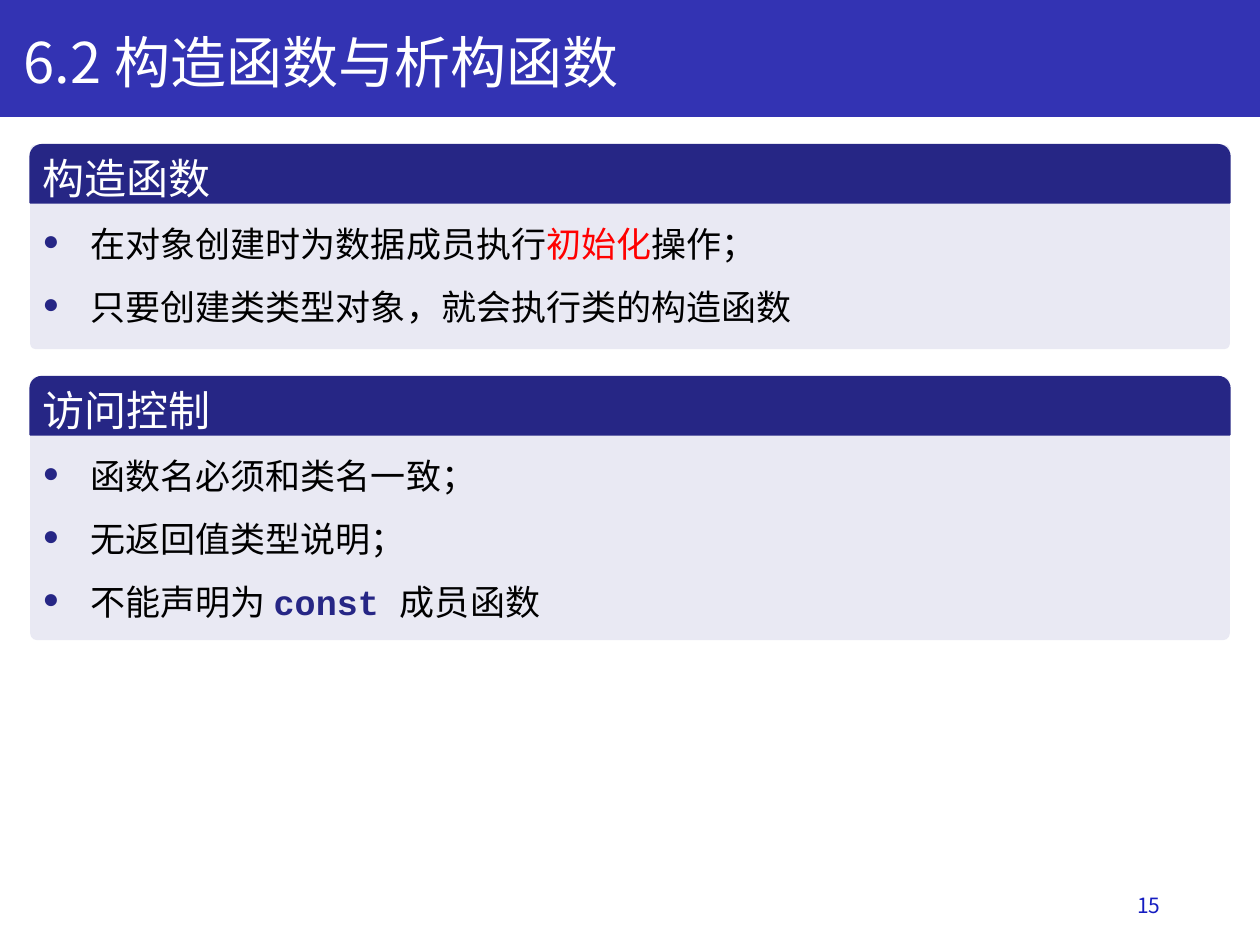
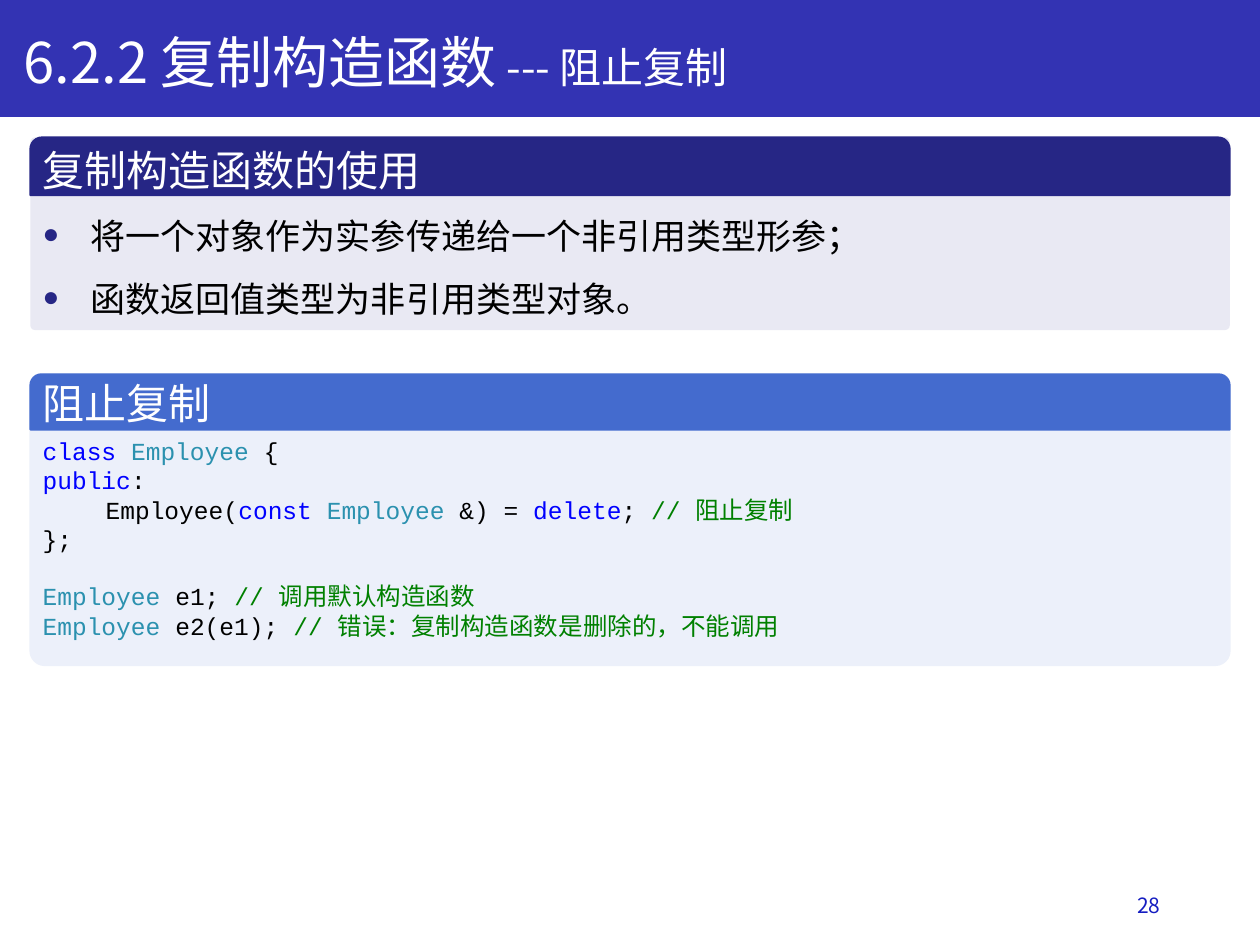
from dataclasses import dataclass
from lxml.etree import SubElement as Sub
from pptx import Presentation
from pptx.dml.color import RGBColor as Rgb
from pptx.enum.shapes import MSO_SHAPE as Kind
from pptx.enum.text import MSO_ANCHOR as Anchor, MSO_AUTO_SIZE as Fit, PP_ALIGN as Align
from pptx.oxml.ns import qn
from pptx.util import Inches, Pt

COLS, ROWS = 100, 75
UNIT = Inches(10) / COLS


@dataclass(frozen=True)
class Theme:
    sans: str = "Noto Sans CJK SC"
    mono: str = "Courier New"
    band: str = "3333B3"
    page: str = "151DC1"
    navy: str = "262685"
    mist: str = "E9E9F3"
    blue: str = "446BCE"
    sky: str = "ECF0FA"
    white: str = "FFFFFF"
    black: str = "000000"
    red: str = "FF0000"
    key: str = "0000FF"
    type: str = "2B91AF"
    note: str = "008000"
    title: int = 32
    head: int = 24
    item: int = 20
    code: int = 14
    foot: int = 12


T = Theme()


@dataclass(frozen=True)
class Box:
    x: float
    y: float
    w: float
    h: float

    def row(self, y, h):
        return Box(self.x, self.y + y, self.w, h)

    def emu(self):
        return [round(n * UNIT) for n in (self.x, self.y, self.w, self.h)]


@dataclass(frozen=True)
class Line:
    runs: list
    inset: float = 0
    gap: int = 0


def tint(text, color, **fmt):
    return text, dict(color=color, **fmt)


def key(text):
    return tint(text, T.key)


def kind(text):
    return tint(text, T.type)


def note(text):
    return tint(text, T.note)


def draw(shapes, form, box, fill, line=None, adj=()):
    shape = shapes.add_shape(form, *box.emu())
    shape.shadow.inherit = False
    shape.fill.solid()
    shape.fill.fore_color.rgb = Rgb.from_string(fill)
    if line:
        shape.line.color.rgb = Rgb.from_string(line)
        shape.line.width = Pt(1)
    else:
        shape.line.fill.background()
    for i, value in enumerate(adj):
        shape.adjustments[i] = value


def style(run, size, color, font=T.sans, bold=False):
    face = run.font
    face.size, face.name, face.bold = Pt(size), font, bold
    face.color.rgb = Rgb.from_string(color)
    Sub(face._element, qn("a:ea")).set("typeface", T.sans)


def mark(para):
    props = para._p.get_or_add_pPr()
    props.set("marL", str(Inches(0.38)))
    props.set("indent", str(-Inches(0.38)))
    hue = Sub(props, qn("a:buClr"))
    Sub(hue, qn("a:srgbClr")).set("val", T.navy)
    Sub(props, qn("a:buSzPct")).set("val", "80000")
    Sub(props, qn("a:buFont")).set("typeface", T.mono)
    Sub(props, qn("a:buChar")).set("char", "●")


def write(shapes, box, lines, align=Align.LEFT, anchor=Anchor.TOP,
          bullet=False, space=None, grow=True, **fmt):
    frame = shapes.add_textbox(*box.emu()).text_frame
    frame.word_wrap = True
    frame.vertical_anchor = anchor
    frame.auto_size = Fit.SHAPE_TO_FIT_TEXT if grow else Fit.NONE
    for i, line in enumerate(lines):
        para = frame.add_paragraph() if i else frame.paragraphs[0]
        para.alignment = align
        if space:
            para.line_spacing = space
        if line.gap:
            para.space_before = Pt(line.gap)
        if line.inset:
            para._p.get_or_add_pPr().set("marL", str(Inches(line.inset)))
        if bullet:
            mark(para)
        for bit in line.runs:
            text, extra = (bit, {}) if isinstance(bit, str) else bit
            run = para.add_run()
            run.text = text
            style(run, **{**fmt, **extra})


def base(deck, title, page):
    shapes = deck.slides.add_slide(deck.slide_layouts[6]).shapes
    draw(shapes, Kind.RECTANGLE, Box(0, 0, COLS, 9.2), T.band, T.band)
    write(shapes, Box(70.6, 69.8, 22.5, 4), [Line([page])], align=Align.RIGHT,
          anchor=Anchor.MIDDLE, grow=False, size=T.foot, color=T.page)
    write(shapes, Box(0.9, 1.7, 96.7, 6.4), [Line(title)], size=T.title, color=T.white)
    return shapes


def panel(shapes, box, head, cap, dark, pale, edge=None, turn=0.025, lift=0.1):
    group = shapes.add_group_shape().shapes
    draw(group, Kind.ROUNDED_RECTANGLE, box, pale, edge, [turn])
    draw(group, Kind.ROUND_2_SAME_RECTANGLE, box.row(0, cap), dark, dark, [0.2, 0])
    write(group, box.row(lift, 5), [Line([head])], size=T.head, color=T.white)
    return group


def points(shapes, top, high, head, *items):
    box = Box(2.4, top, 95.2, high)
    group = panel(shapes, box, head, 4.6, T.navy, T.mist)
    write(group, box.row(4, 0.6 + 5 * len(items)), [Line(runs) for runs in items],
          bullet=True, space=1.5, size=T.item, color=T.black)


def code(shapes, top, high, head, lines):
    box = Box(2.4, top, 95.2, high)
    group = panel(shapes, box, head, 4.4, T.blue, T.sky, T.sky, 0.05, -0.2)
    write(group, box.row(4.4, 17.5), lines, size=T.code, color=T.black, font=T.mono)


def basics(deck):
    shapes = base(deck, ["6.2 构造函数与析构函数"], "15")
    points(shapes, 11.5, 16.2, "构造函数",
           ["在对象创建时为数据成员执行", tint("初始化", T.red), "操作；"],
           ["只要创建类类型对象，就会执行类的构造函数"])
    points(shapes, 29.9, 20.9, "访问控制",
           ["函数名必须和类名一致；"],
           ["无返回值类型说明；"],
           ["不能声明为 ", tint("const ", T.navy, font=T.mono, bold=True), "成员函数"])


def copying(deck):
    title = ["6.2.2 复制构造函数", tint(" --- 阻止复制", T.white, size=T.head)]
    shapes = base(deck, title, "28")
    points(shapes, 10.9, 15.3, "复制构造函数的使用",
           ["将一个对象作为实参传递给一个非引用类型形参；"],
           ["函数返回值类型为非引用类型对象。"])
    name = kind("Employee")
    code(shapes, 29.7, 23.1, "阻止复制", [
        Line([key("class "), name, " {"]),
        Line([key("public"), ":"]),
        Line(["Employee(", key("const "), name, " &) = ", key("delete"), "; ",
              note("// 阻止复制")], inset=0.5),
        Line(["};"]),
        Line([name, " e1; ", note("// 调用默认构造函数")], gap=16),
        Line([name, " e2(e1); ", note("// 错误：复制构造函数是删除的，不能调用")]),
    ])


def main():
    deck = Presentation()
    deck.slide_width, deck.slide_height = round(COLS * UNIT), round(ROWS * UNIT)
    basics(deck)
    copying(deck)
    deck.save("out.pptx")


if __name__ == "__main__":
    main()
